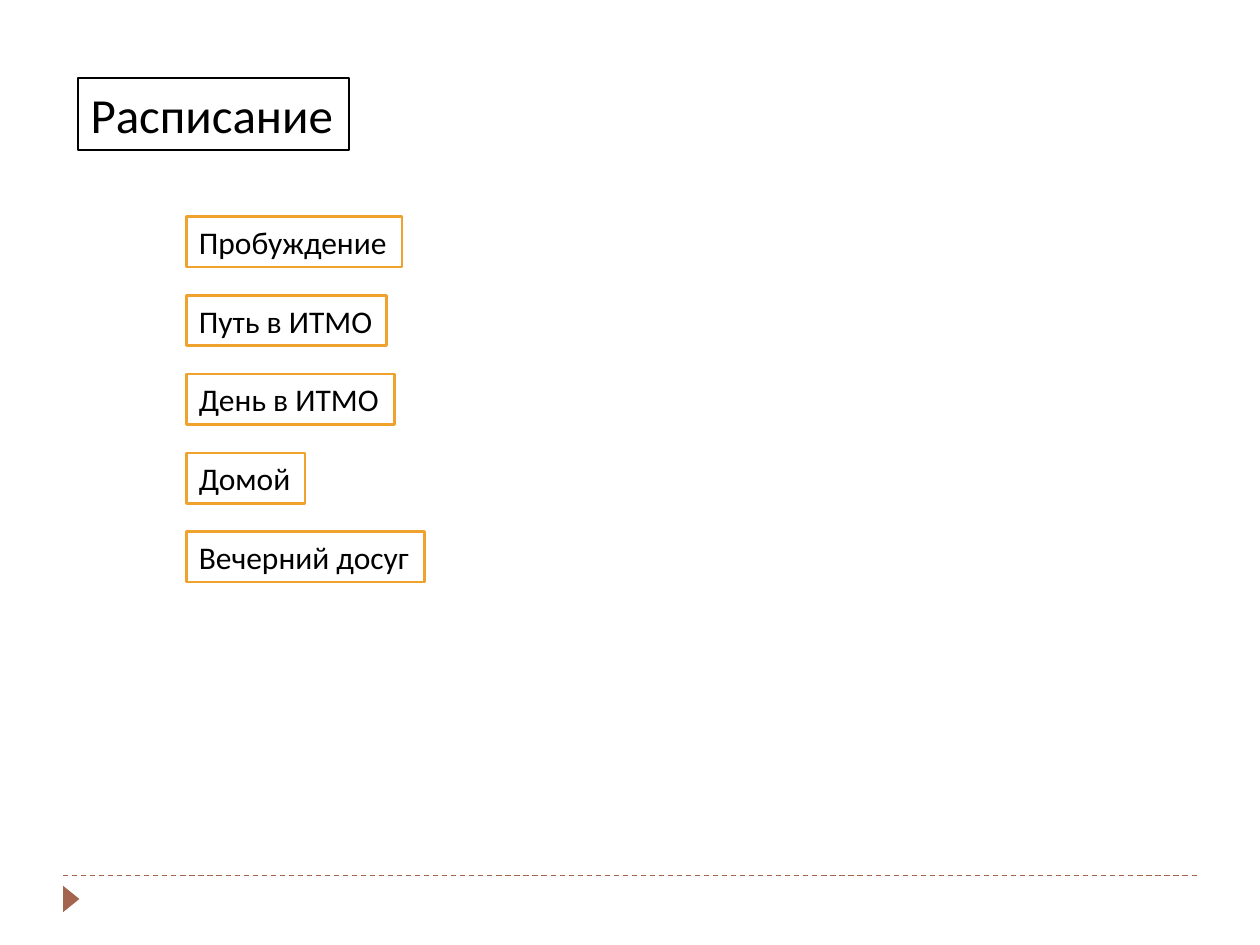
from dataclasses import dataclass

from lxml.etree import SubElement
from pptx import Presentation
from pptx.dml.color import RGBColor
from pptx.enum.dml import MSO_LINE
from pptx.enum.shapes import MSO_CONNECTOR, MSO_SHAPE
from pptx.enum.text import MSO_ANCHOR, MSO_AUTO_SIZE, PP_ALIGN
from pptx.oxml.ns import qn
from pptx.util import Inches, Pt


@dataclass(frozen=True)
class Theme:
    font: str = "Calibri"
    paper: RGBColor = RGBColor(0xFF, 0xFF, 0xFF)
    ink: RGBColor = RGBColor(0x00, 0x00, 0x00)
    accent: RGBColor = RGBColor(0xF0, 0xA2, 0x2E)
    footer: RGBColor = RGBColor(0xA5, 0x64, 0x4E)
    title_size: Pt = Pt(28)
    entry_size: Pt = Pt(18)
    border: Pt = Pt(1.5)
    rule: Pt = Pt(0.75)


THEME = Theme()

SCHEDULE = [
    ("Пробуждение", 1.71),
    ("Путь в ИТМО", 1.59),
    ("День в ИТМО", 1.65),
    ("Домой", 0.94),
    ("Вечерний досуг", 1.89),
]
SCHEDULE_LEFT, SCHEDULE_TOP, SCHEDULE_STEP = 1.48, 1.72, 0.625


def add_label(slide, wording, left, top, width, height, size, border_color):
    label = slide.shapes.add_shape(
        MSO_SHAPE.RECTANGLE, Inches(left), Inches(top), Inches(width), Inches(height)
    )
    label.shadow.inherit = False
    label.fill.solid()
    label.fill.fore_color.rgb = THEME.paper
    label.line.color.rgb = border_color
    label.line.width = THEME.border

    frame = label.text_frame
    frame.text = wording
    frame.word_wrap = False
    frame.auto_size = MSO_AUTO_SIZE.SHAPE_TO_FIT_TEXT
    frame.vertical_anchor = MSO_ANCHOR.TOP
    paragraph = frame.paragraphs[0]
    paragraph.alignment = PP_ALIGN.LEFT
    font = paragraph.runs[0].font
    font.name = THEME.font
    font.size = size
    font.color.rgb = THEME.ink


def add_footer_rule(slide):
    rule = slide.shapes.add_connector(
        MSO_CONNECTOR.STRAIGHT, Inches(0.5), Inches(6.95), Inches(9.5), Inches(6.95)
    )
    rule.line.color.rgb = THEME.footer
    rule.line.width = THEME.rule
    rule.line.dash_style = MSO_LINE.DASH
    SubElement(rule._element.spPr, qn("a:effectLst"))


def add_footer_marker(slide):
    marker = slide.shapes.add_shape(
        MSO_SHAPE.ISOSCELES_TRIANGLE, Inches(0.46), Inches(7.07), Inches(0.21), Inches(0.13)
    )
    marker.rotation = 90
    marker.shadow.inherit = False
    marker.fill.solid()
    marker.fill.fore_color.rgb = THEME.footer
    marker.line.fill.background()


def main():
    deck = Presentation()
    deck.slide_width, deck.slide_height = Inches(10), Inches(7.5)
    slide = deck.slides.add_slide(deck.slide_layouts[6])
    slide.background.fill.solid()
    slide.background.fill.fore_color.rgb = THEME.paper

    add_footer_rule(slide)
    add_footer_marker(slide)
    add_label(slide, "Расписание", 0.62, 0.62, 2.15, 0.57, THEME.title_size, THEME.ink)
    for row, (entry, width) in enumerate(SCHEDULE):
        top = SCHEDULE_TOP + row * SCHEDULE_STEP
        add_label(slide, entry, SCHEDULE_LEFT, top, width, 0.4, THEME.entry_size, THEME.accent)

    deck.save("out.pptx")


if __name__ == "__main__":
    main()
